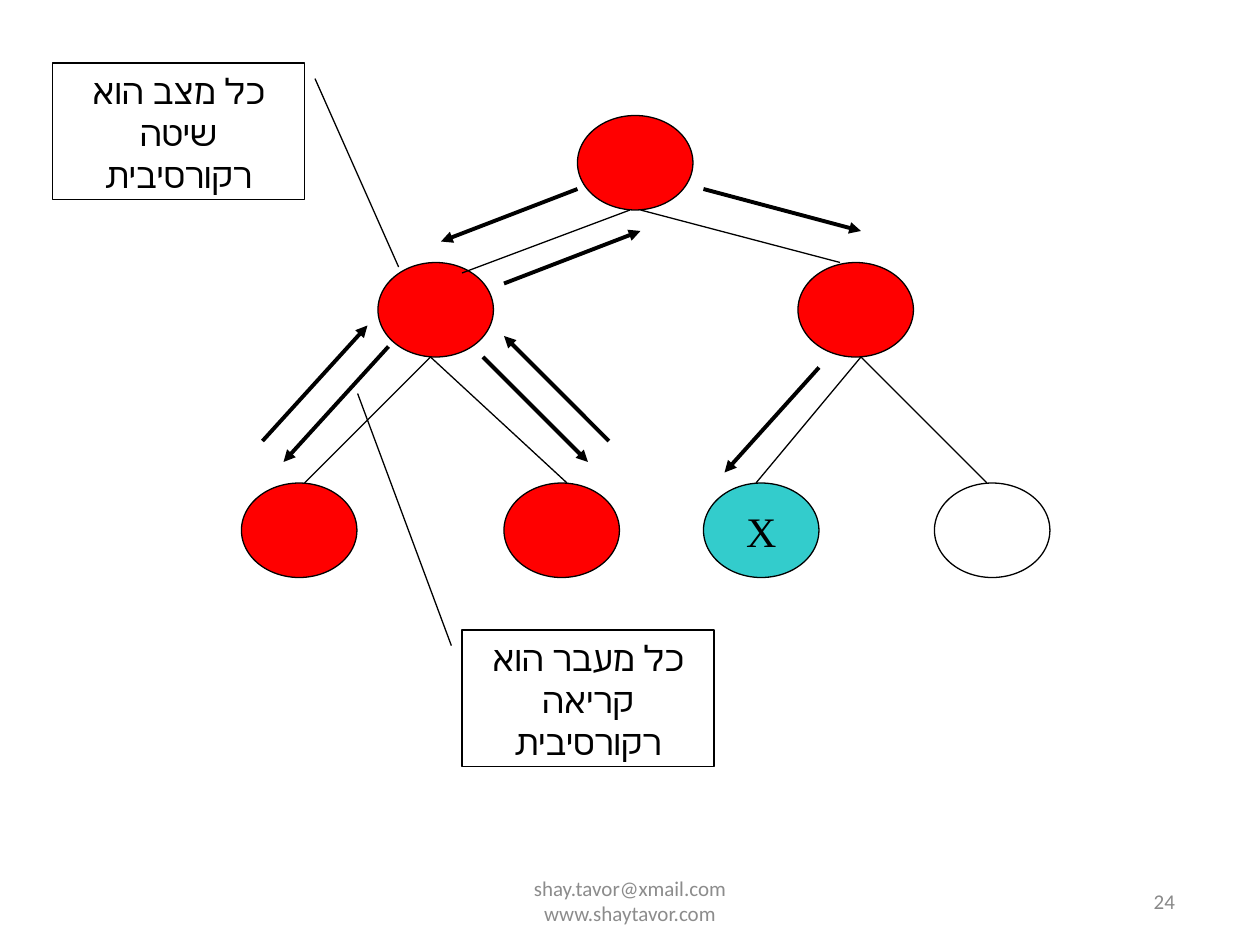
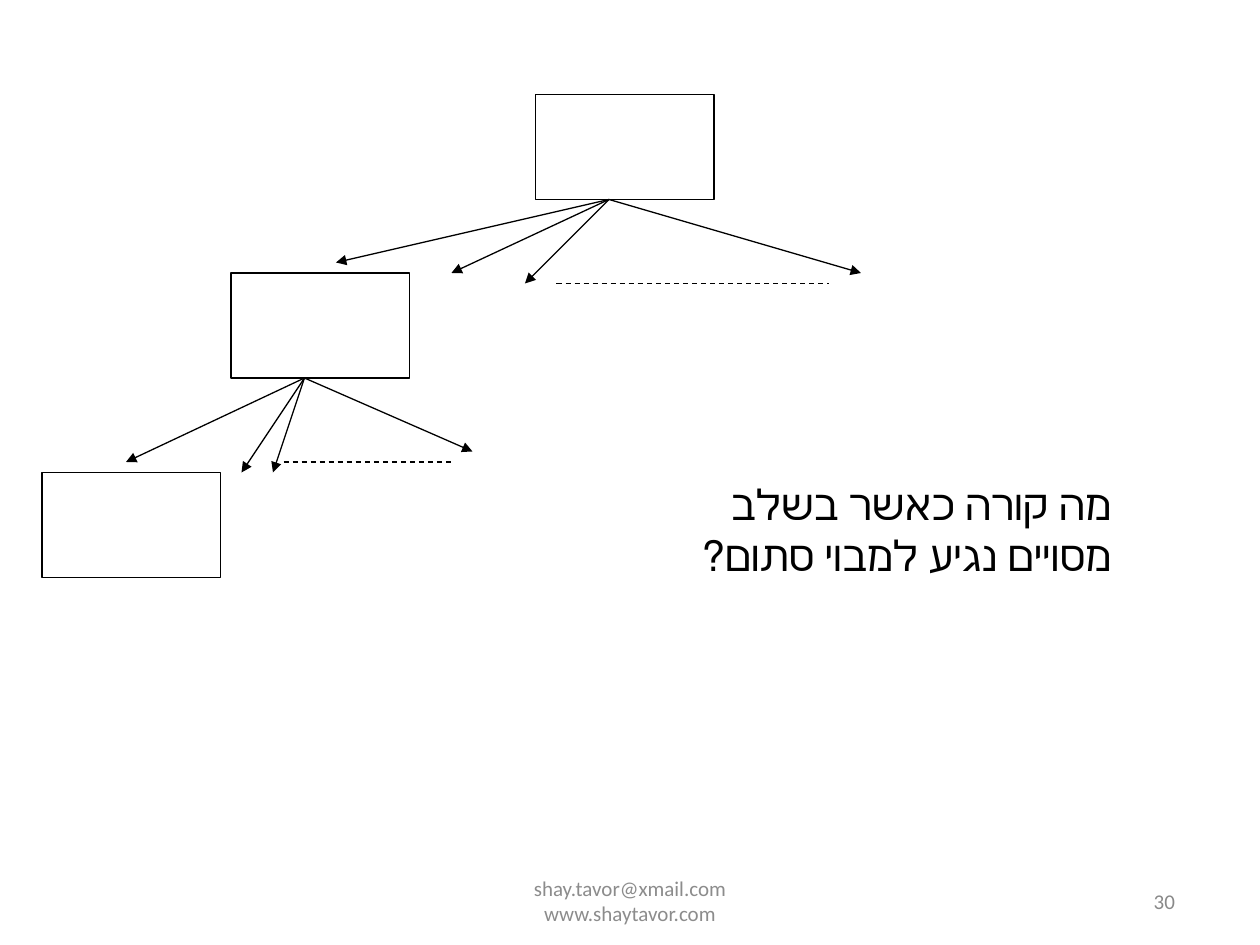
from pptx import Presentation
from pptx import util as u
from pptx.dml.color import RGBColor
from pptx.enum import dml, shapes, text
from pptx.oxml.ns import qn
from lxml import etree

# Shared look; places are counted in steps of a twelfth of an inch
STEP = 2.54 / 12
BLACK, RED, TEAL = "000000", "FF0000", "33CCCC"
FOOTER_GREY, NUMBER_GREY = "8C8C8C", "898989"
SERIF, SANS = "Times New Roman", "Calibri"
SHAPE, ALIGN, ANCHOR = shapes.MSO_SHAPE, text.PP_ALIGN, text.MSO_ANCHOR
colour = RGBColor.from_string


def add_box(slide, kind, place, words="", fill=None, size=20, font=SERIF,
            ink=BLACK, align=ALIGN.CENTER, anchor=ANCHOR.MIDDLE, wrap=True):
    """Add an outlined shape, or a text box when kind is None."""
    lengths = [u.Cm(value * STEP) for value in place]
    if kind is None:
        shape = slide.shapes.add_textbox(*lengths)
    else:
        shape = slide.shapes.add_shape(kind, *lengths)
        shape.shadow.inherit = False
        shape.line.color.rgb = colour(BLACK)
        shape.line.width = u.Pt(0.75)
        if fill:
            shape.fill.solid()
            shape.fill.fore_color.rgb = colour(fill)
        else:
            shape.fill.background()
    if words:
        frame = shape.text_frame
        frame.word_wrap = wrap
        frame.vertical_anchor = anchor
        frame.text = words
        paragraph = frame.paragraphs[0]
        paragraph.alignment = align
        paragraph.font.size = u.Pt(size)
        paragraph.font.name = font
        paragraph.font.color.rgb = colour(ink)
    return shape


def add_line(slide, ends, width=0.75, arrow=False, dashed=False):
    """Add a straight black line, with an arrowhead at its end if asked."""
    connector = slide.shapes.add_connector(
        shapes.MSO_CONNECTOR.STRAIGHT, *[u.Cm(value * STEP) for value in ends])
    connector.line.color.rgb = colour(BLACK)
    connector.line.width = u.Pt(width)
    if dashed:
        connector.line.dash_style = dml.MSO_LINE.DASH
    if arrow:
        outline = connector.line._get_or_add_ln()
        etree.SubElement(outline, qn("a:tailEnd"), type="triangle")
    etree.SubElement(connector._element.spPr, qn("a:effectLst"))


presentation = Presentation()
presentation.slide_width = u.Cm(25.4)
presentation.slide_height = u.Cm(19.05)

# Blank slides with footer and page number
slides = []
for number in ("24", "30"):
    slide = presentation.slides.add_slide(presentation.slide_layouts[6])
    add_box(slide, None, (41, 83.4, 38, 4.8),
            "shay.tavor@xmail.com\vwww.shaytavor.com",
            size=12, font=SANS, ink=FOOTER_GREY)
    add_box(slide, None, (108.7, 83.4, 5.3, 4.8), number,
            size=12, font=SANS, ink=NUMBER_GREY, align=ALIGN.LEFT)
    slides.append(slide)
search_slide, dead_end_slide = slides

# Search tree: states
for left, top, fill, label in [
    (55, 11, RED, ""),
    (76, 25, RED, ""),
    (36, 25, RED, ""),
    (89, 46, None, ""),
    (67, 46, TEAL, "X"),
    (23, 46, RED, ""),
    (48, 46, RED, ""),
]:
    add_box(search_slide, SHAPE.OVAL, (left, top, 11, 9), label, fill,
            size=24, wrap=False)

# Search tree: edges
for edge in [
    (60, 20, 44, 26), (41, 34, 29, 46), (41, 34, 54, 46),
    (61, 20, 80, 25), (82, 34, 72, 46), (82, 34, 94, 46),
]:
    add_line(search_slide, edge)

# Search tree: calls going down and returns going up
for move in [
    (55, 18, 42, 23), (37, 33, 27, 44), (25, 42, 35, 31), (46, 34, 56, 44),
    (58, 42, 48, 32), (48, 27, 61, 22), (67, 18, 82, 22), (78, 35, 69, 45),
]:
    add_line(search_slide, move, width=2.25, arrow=True)

# Search tree: callouts, with pointer start and end as (y, x) fractions
for left, top, words, pointer in [
    (5, 6, "כל מצב הוא שיטה רקורסיבית", (0.115, 1.042, 1.495, 1.374)),
    (44, 60, "כל מעבר הוא קריאה רקורסיבית", (0.115, -0.042, -1.732, -0.414)),
]:
    callout = add_box(search_slide, SHAPE.LINE_CALLOUT_1, (left, top, 24, 13),
                      words, anchor=ANCHOR.TOP)
    for index, value in enumerate(pointer):
        callout.adjustments[index] = value

# Dead end: nodes
for left, top in [(51, 9), (22, 26), (4, 45)]:
    add_box(dead_end_slide, SHAPE.RECTANGLE, (left, top, 17, 10))

# Dead end: branches, with a dashed line for those left out
for start, tips, omitted in [
    ((58, 19), [(32, 25), (43, 26), (50, 27), (82, 26)], (53, 27, 79, 27)),
    ((29, 36), [(12, 44), (23, 45), (26, 45), (45, 43)], (27, 44, 43, 44)),
]:
    for tip in tips:
        add_line(dead_end_slide, start + tip, arrow=True)
    add_line(dead_end_slide, omitted, dashed=True)

# Dead end: question, set right to left
question = add_box(dead_end_slide, None, (62, 45, 45, 10.8),
                   "מה קורה כאשר בשלב מסויים נגיע למבוי סתום?",
                   size=24, align=ALIGN.RIGHT, anchor=ANCHOR.TOP)
question.text_frame.paragraphs[0]._p.get_or_add_pPr().set("rtl", "1")

presentation.save("out.pptx")
